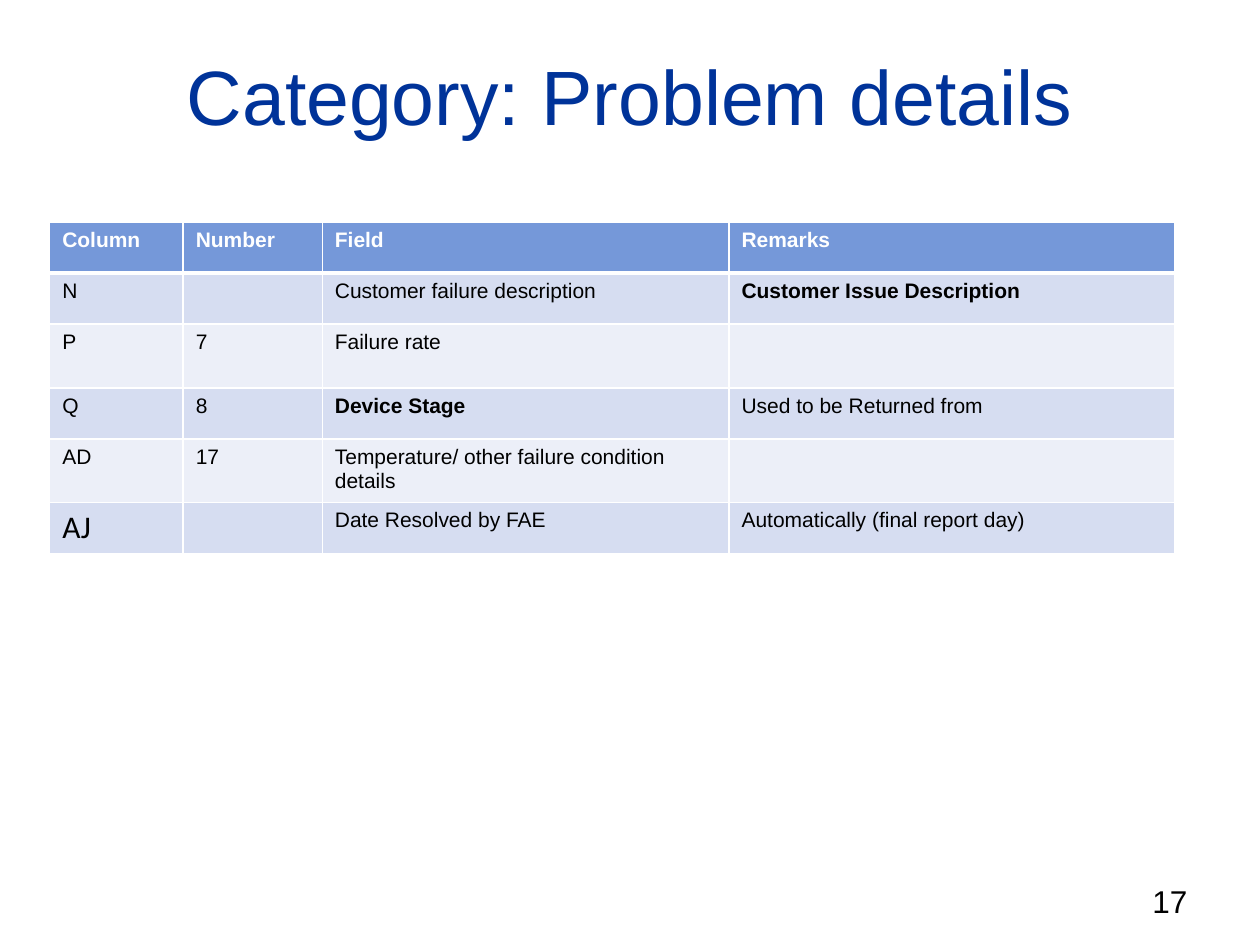
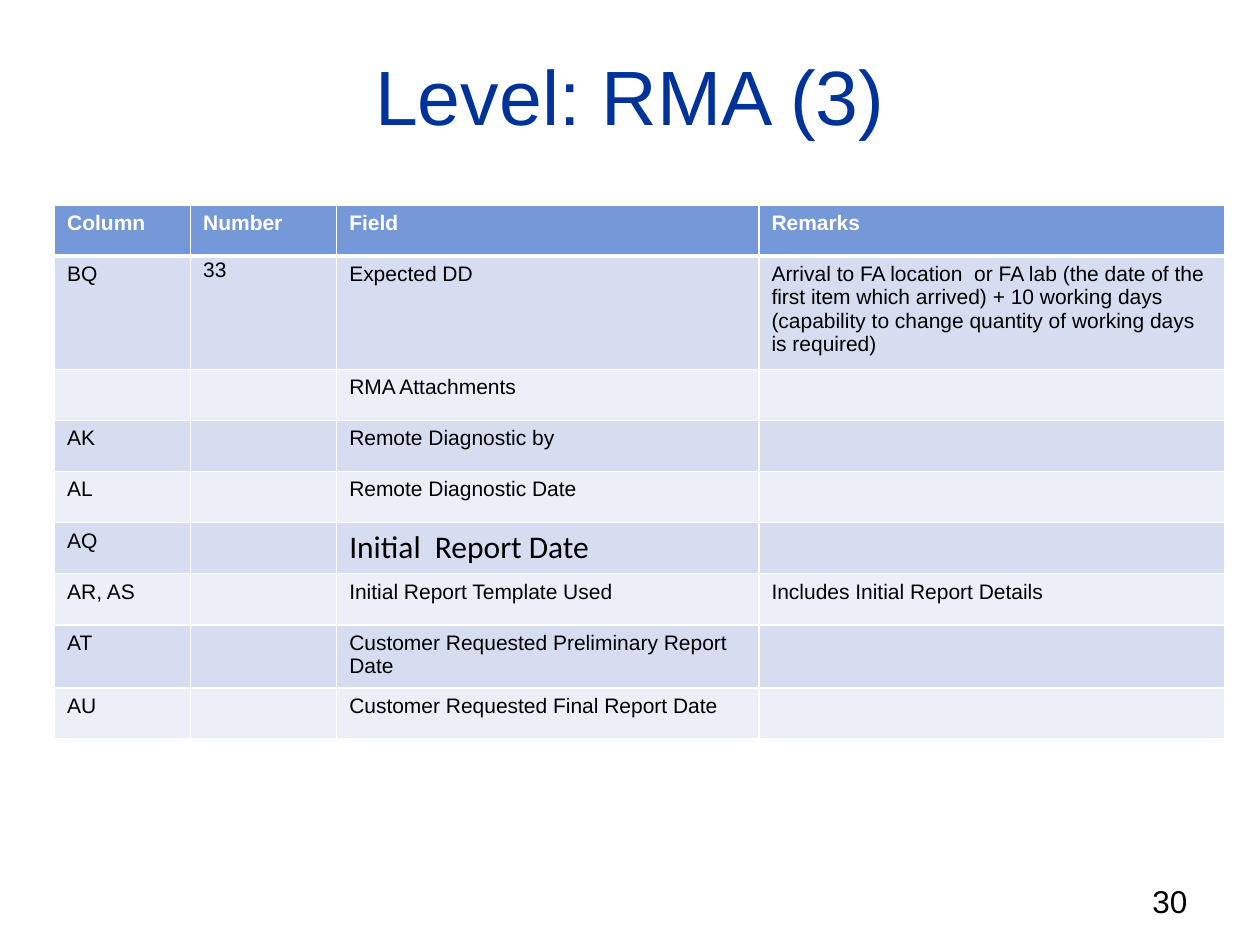
from lxml.etree import SubElement
from pptx import Presentation
from pptx.dml.color import RGBColor
from pptx.enum.text import MSO_ANCHOR, PP_ALIGN
from pptx.oxml.ns import qn
from pptx.util import Pt

COLOURS = {
    "title": "003399",
    "text": "000000",
    "white": "FFFFFF",
    "header": "7598D9",
    "odd": "D6DDF1",
    "even": "ECEFF8",
}
HEADINGS = ("Column", "Number", "Field", "Remarks")
ROW_HEIGHT = 29.2

# Run styles that differ from the plain cell text
BOLD = {"bold": True}
LARGE = {"size": 18, "font": "Calibri"}

PROBLEM_FIELDS = [
    ("N", "", "Customer failure description", ("Customer Issue Description", BOLD)),
    ("P", "7", "Failure rate", ""),
    ("Q", "8", ("Device Stage", BOLD), "Used to be Returned from"),
    ("AD", "17", "Temperature/ other failure condition details", ""),
    (("AJ", LARGE), "", "Date Resolved by FAE", "Automatically (final report day)"),
]
RMA_FIELDS = [
    ("BQ", "33", "Expected DD",
     "Arrival to FA location  or FA lab (the date of the first item which arrived) "
     "+ 10 working days (capability to change quantity of working days is required)"),
    ("", "", "RMA Attachments", ""),
    ("AK", "", "Remote Diagnostic by", ""),
    ("AL", "", "Remote Diagnostic Date", ""),
    ("AQ", "", ("Initial  Report Date", LARGE), ""),
    ("AR, AS", "", "Initial Report Template Used", "Includes Initial Report Details"),
    ("AT", "", "Customer Requested Preliminary Report Date", ""),
    ("AU", "", "Customer Requested Final Report Date", ""),
]


class FieldDeck:
    """Holds the shared style and the slide being built."""

    def __init__(self):
        self.deck = Presentation()
        self.deck.slide_width, self.deck.slide_height = Pt(720), Pt(540)
        self.slide = None

    def colour(self, name):
        return RGBColor.from_string(COLOURS[name])

    def run(self, paragraph, text, size=12, font="Arial", colour="text", bold=False):
        run = paragraph.add_run()
        run.text = text
        run.font.size, run.font.name, run.font.bold = Pt(size), font, bold
        run.font.color.rgb = self.colour(colour)

    def start_slide(self, heading, number):
        self.slide = self.deck.slides.add_slide(self.deck.slide_layouts[5])
        # Title
        title = self.slide.shapes.title
        title.left, title.top, title.width, title.height = Pt(36), Pt(20), Pt(648), Pt(68.5)
        title.text_frame.vertical_anchor = MSO_ANCHOR.MIDDLE
        paragraph = title.text_frame.paragraphs[0]
        paragraph.alignment = PP_ALIGN.CENTER
        self.run(paragraph, heading, 44, colour="title")
        # Page number
        page = self.slide.shapes.add_textbox(Pt(517.5), Pt(500.5), Pt(168), Pt(29))
        page.text_frame.word_wrap = True
        paragraph = page.text_frame.paragraphs[0]
        paragraph.alignment = PP_ALIGN.RIGHT
        self.run(paragraph, number, 18)

    def borders(self, cell, top, bottom):
        properties = cell._tc.get_or_add_tcPr()
        for side, width in (("L", 1), ("R", 1), ("T", top), ("B", bottom)):
            line = SubElement(properties, qn(f"a:ln{side}"), w=str(Pt(width)))
            fill = SubElement(line, qn("a:solidFill"))
            SubElement(fill, qn("a:srgbClr"), val=COLOURS["white"])

    def field_table(self, left, top, widths, fields, tall_rows=None):
        table = self.slide.shapes.add_table(
            len(fields) + 1, len(widths), Pt(left), Pt(top),
            Pt(sum(widths)), Pt(ROW_HEIGHT * (len(fields) + 1))).table
        table.horz_banding = False
        for column, width in zip(table.columns, widths):
            column.width = Pt(width)
        for row_index, entries in enumerate([HEADINGS, *fields]):
            is_header = row_index == 0
            band = "header" if is_header else "odd" if row_index % 2 else "even"
            table.rows[row_index].height = Pt((tall_rows or {}).get(row_index, ROW_HEIGHT))
            for column_index, entry in enumerate(entries):
                cell = table.cell(row_index, column_index)
                # A thick rule parts the header from the fields
                self.borders(cell, 3 if row_index == 1 else 1, 3 if is_header else 1)
                cell.fill.solid()
                cell.fill.fore_color.rgb = self.colour(band)
                text, style = (entry, {}) if isinstance(entry, str) else entry
                if is_header:
                    style = {"colour": "white", "bold": True}
                if text:
                    self.run(cell.text_frame.paragraphs[0], text, **style)
        return table


def main():
    builder = FieldDeck()

    # Problem details
    builder.start_slide("Category: Problem details", "17")
    builder.field_table(28.4, 126.8, (76.3, 79.5, 232.4, 254.9), PROBLEM_FIELDS,
                        tall_rows={2: 36.6})

    # RMA level
    builder.start_slide("Level: RMA (3)", "30")
    rma_table = builder.field_table(31.2, 117, (77.7, 83.5, 241.3, 266.4), RMA_FIELDS)
    rma_table.cell(1, 1).margin_top = Pt(1.5)

    builder.deck.save("out.pptx")


if __name__ == "__main__":
    main()
